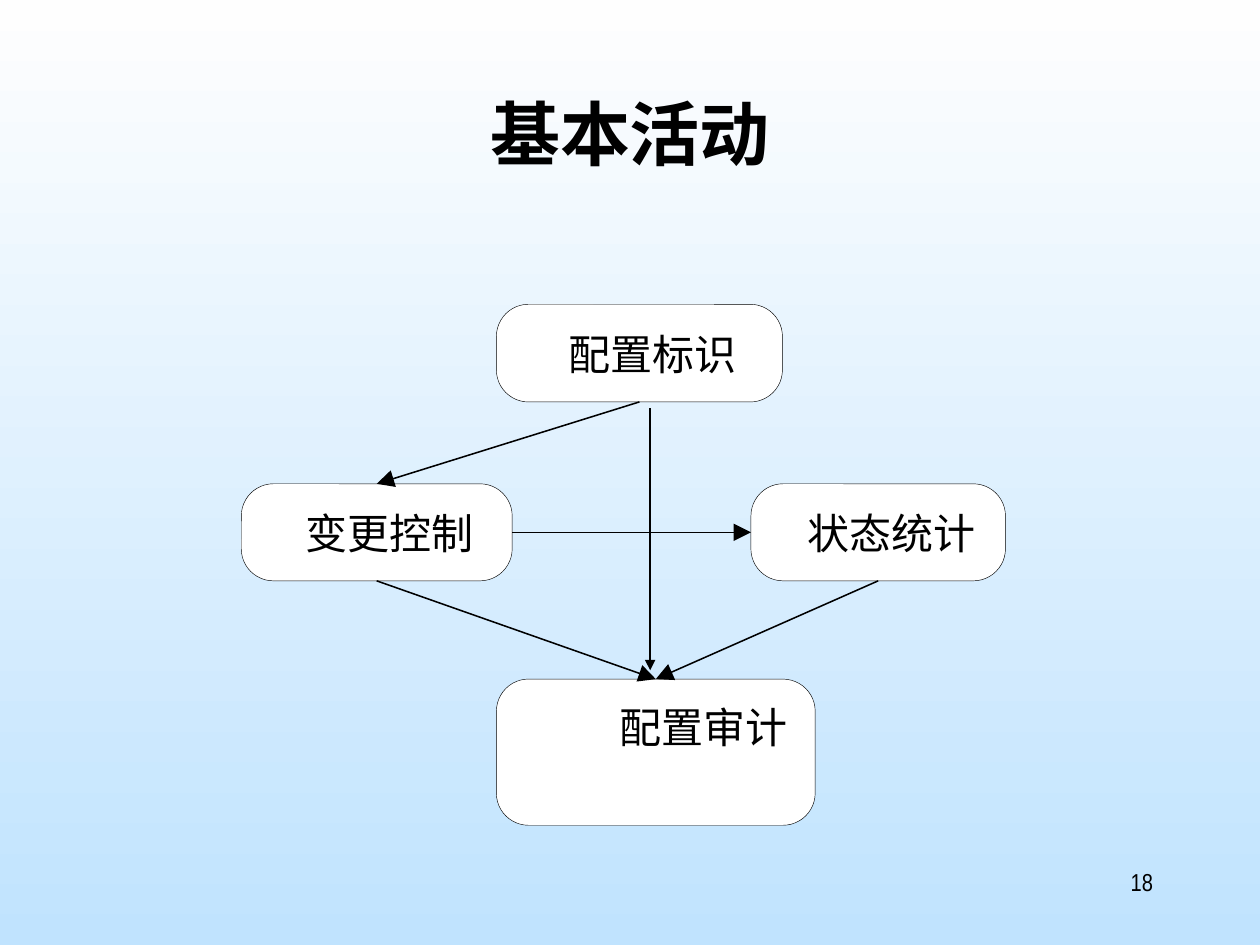
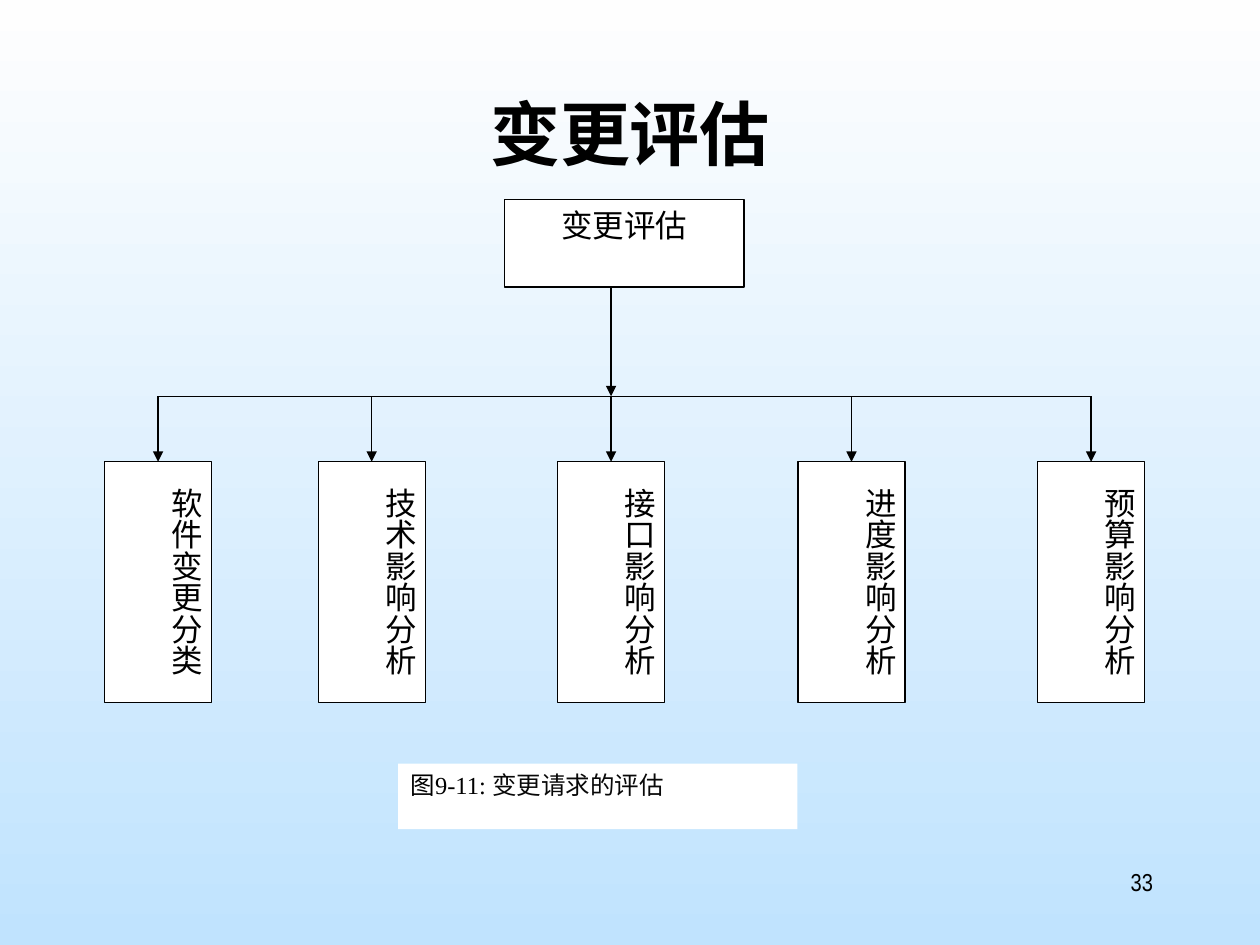
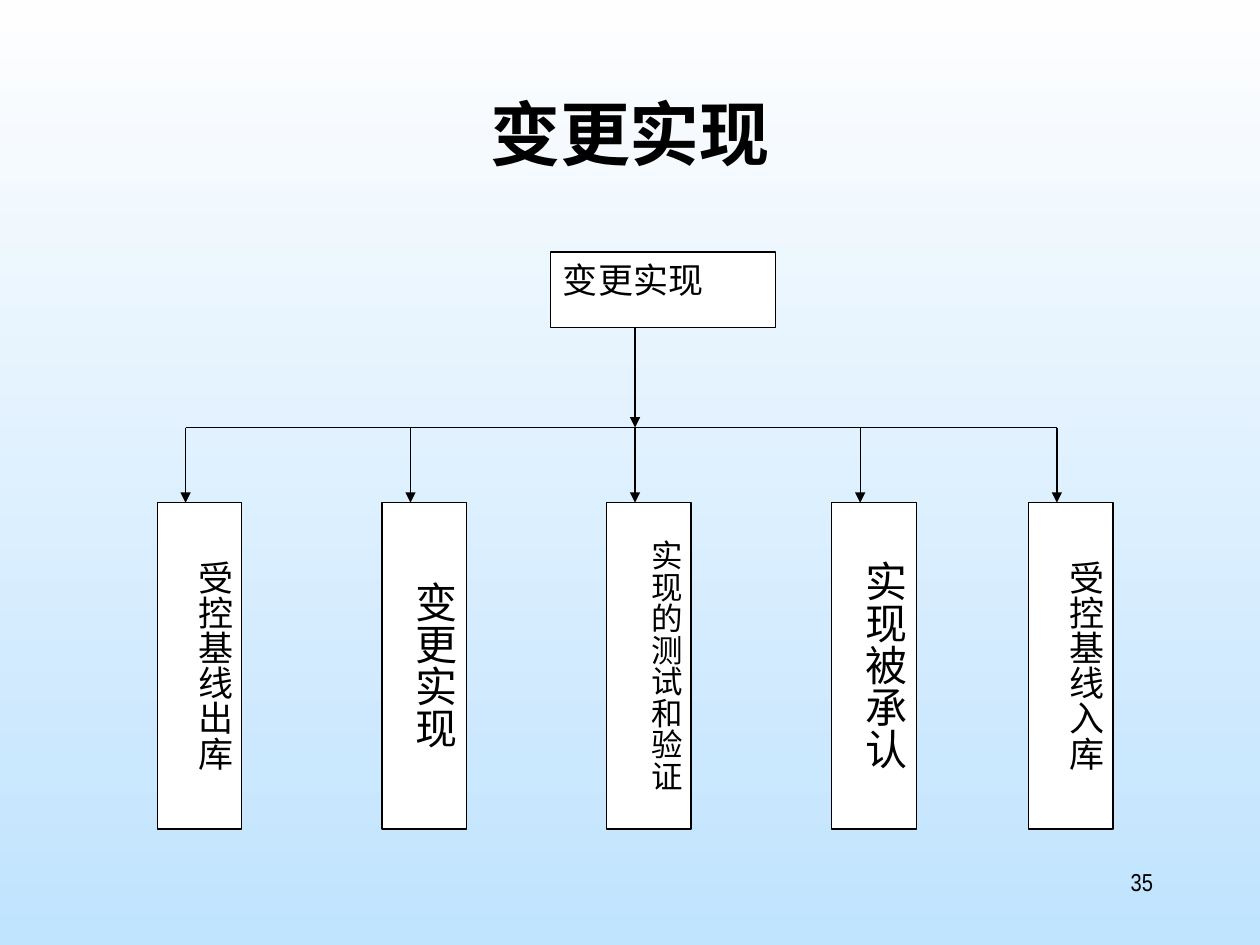
from dataclasses import dataclass

from lxml import etree
from pptx import Presentation
from pptx import util as u
from pptx.dml.color import RGBColor
from pptx.enum import shapes, text
from pptx.oxml.ns import qn


@dataclass(frozen=True)
class Theme:
    ink: RGBColor = RGBColor(0, 0, 0)
    caption_ink: RGBColor = RGBColor(8, 8, 8)
    paper: RGBColor = RGBColor(255, 255, 255)
    sky_top: RGBColor = RGBColor(0xFE, 0xFE, 0xFE)
    sky_bottom: RGBColor = RGBColor(0xC0, 0xE3, 0xFE)
    cjk: str = "Noto Sans CJK SC"
    sans: str = "Arial"
    narrow: str = "Arial Narrow"
    serif: str = "Times New Roman"
    title: int = 40
    large: int = 24
    medium: int = 20
    body: int = 18
    small: int = 14
    hairline: float = 0.25
    rule: float = 0.75
    flow: float = 0.88


T = Theme()
GRID = u.Inches(0.1)  # the slide is 100 columns by 75 rows
COLUMNS, ROWS = 100, 75
LEFT, CENTER = text.PP_ALIGN.LEFT, text.PP_ALIGN.CENTER
RIGHT, JUSTIFY = text.PP_ALIGN.RIGHT, text.PP_ALIGN.JUSTIFY
RECTANGLE = shapes.MSO_SHAPE.RECTANGLE
TOP_SIDE, LEFT_SIDE, BOTTOM_SIDE, RIGHT_SIDE = range(4)


def add_block(slide, at, runs=(), size=T.body, align=LEFT, bold=False,
              preset=None, outline=None, insets=(1, 0.5)):
    """Add a text box, or a white preset shape; runs are (words, font, colour)."""
    place = [round(cells * GRID) for cells in at]
    if preset is None:
        block = slide.shapes.add_textbox(*place)
    else:
        block = slide.shapes.add_shape(preset, *place)
        block.shadow.inherit = False
        block.fill.solid()
        block.fill.fore_color.rgb = T.paper
        if outline:
            block.line.color.rgb = T.ink
            block.line.width = u.Pt(outline)
        else:
            block.line.fill.background()
    frame = block.text_frame
    frame.word_wrap = True
    frame.vertical_anchor = text.MSO_ANCHOR.TOP
    frame.margin_left = frame.margin_right = round(insets[0] * GRID)
    frame.margin_top = frame.margin_bottom = round(insets[1] * GRID)
    paragraph = frame.paragraphs[0]
    paragraph.alignment = align
    for words, font, colour in runs:
        run = paragraph.add_run()
        run.text = words
        run.font.size, run.font.bold, run.font.name = u.Pt(size), bold, font
        run.font.color.rgb = colour
        east_asian = etree.SubElement(run.font._element, qn("a:ea"))
        east_asian.set("typeface", T.cjk)
    return block


def add_rule(slide, start=(0, 0), end=(0, 0), width=T.rule, head=None,
             source=None, target=None):
    """Draw a line; source and target are (block, side) pairs to join."""
    points = [round(cells * GRID) for cells in (*start, *end)]
    rule = slide.shapes.add_connector(shapes.MSO_CONNECTOR.STRAIGHT, *points)
    if source:
        rule.begin_connect(*source)
    if target:
        rule.end_connect(*target)
    rule.line.color.rgb = T.ink
    rule.line.width = u.Pt(width)
    if head:
        etree.SubElement(rule.line._get_or_add_ln(), qn("a:tailEnd"),
                         type="triangle", w=head, len=head)
    etree.SubElement(rule._element.spPr, qn("a:effectLst"))


deck = Presentation()
deck.slide_width, deck.slide_height = COLUMNS * GRID, ROWS * GRID

# Shared background, titles and page numbers
sky = deck.slide_master.background.fill
sky.gradient()
sky.gradient_angle = 270
for stop, colour, position in zip(sky.gradient_stops,
                                  (T.sky_top, T.sky_bottom), (0, 1)):
    stop.color.rgb = colour
    stop.position = position

pages = []
for title, font, number in (("基本活动", T.cjk, "18"),
                            ("变更评估", T.narrow, "33"),
                            ("变更实现", T.narrow, "35")):
    page = deck.slides.add_slide(deck.slide_layouts[6])
    add_block(page, (7.5, 6.7, 85, 12.5), [(title, font, T.ink)],
              T.title, CENTER, bold=True)
    add_block(page, (71.7, 68.3, 20.8, 5), [(number, T.narrow, T.ink)],
              T.small, RIGHT)
    pages.append(page)
activities, *trees = pages

# Basic activities: four rounded steps and the flow between them
CORNER = 2.55
steps = {}
for name, at, label_at in (
    ("配置标识", (39.4, 24.15, 22.7, 7.75), (45.1, 26.1)),
    ("配置审计", (39.4, 53.9, 25.3, 11.6), (49.2, 55.7)),
    ("状态统计", (59.6, 38.4, 20.2, 7.7), (64.1, 40.3)),
    ("变更控制", (19.15, 38.4, 21.5, 7.7), (24.25, 40.3)),
):
    step = add_block(activities, at, preset=shapes.MSO_SHAPE.ROUNDED_RECTANGLE,
                     outline=T.hairline)
    step.adjustments[0] = CORNER / at[3]
    add_block(activities, (*label_at, 13.5, 4), [(name, T.sans, T.ink)],
              T.large, insets=(0, 0))
    steps[name] = step

for before, exit_side, after, entry_side in (
    ("配置标识", BOTTOM_SIDE, "变更控制", TOP_SIDE),
    ("状态统计", BOTTOM_SIDE, "配置审计", TOP_SIDE),
    ("变更控制", BOTTOM_SIDE, "配置审计", TOP_SIDE),
    ("变更控制", RIGHT_SIDE, "状态统计", LEFT_SIDE),
):
    add_rule(activities, width=T.flow, head="lg",
             source=(steps[before], exit_side),
             target=(steps[after], entry_side))
add_rule(activities, (51.6, 32.4), (51.6, 53.2), T.flow, "med")

# Change assessment and change implementation: a root over five leaves
assessment = dict(
    root=("变更评估", (40.05, 15.83, 19, 6.95), T.body, CENTER),
    bus=31.45, leaf_top=36.65, leaf_size=(8.5, 19.1), stub=4.25,
    leaves=[("软件变更分类", 8.3, T.body), ("技术影响分析", 25.25, T.body),
            ("接口影响分析", 44.25, T.body), ("进度影响分析", 63.33, T.body),
            ("预算影响分析", 82.35, T.body)])
implementation = dict(
    root=("变更实现", (43.7, 20, 17.85, 6), T.medium, JUSTIFY),
    bus=33.93, leaf_top=39.9, leaf_size=(6.7, 25.9), stub=2.25,
    leaves=[("受控基线出库", 12.48, T.medium), ("变更实现", 30.33, T.large),
            ("实现的测试和验证", 48.15, T.body), ("实现被承认", 66.02, T.large),
            ("受控基线入库", 81.63, T.medium)])

for page, tree in zip(trees, (assessment, implementation)):
    name, root_at, size, align = tree["root"]
    bus, leaf_top = tree["bus"], tree["leaf_top"]
    leaf_width, leaf_height = tree["leaf_size"]
    add_block(page, root_at, [(name, T.serif, T.ink)], size, align,
              preset=RECTANGLE, outline=T.rule)
    stubs = []
    for name, left, size in tree["leaves"]:
        leaf = add_block(page, (left, leaf_top, leaf_width, leaf_height),
                         [(name, T.serif, T.ink)], size, JUSTIFY,
                         preset=RECTANGLE, outline=T.rule, insets=(0.5, 1))
        leaf.text_frame._txBody.bodyPr.set("vert", "eaVert")
        # Centre the column of characters, each as tall as its type size
        spare = round(leaf_height * GRID) - len(name) * u.Pt(size)
        leaf.text_frame.margin_top = spare // 2
        x = left + tree["stub"]
        centred = tree["stub"] == leaf_width / 2
        add_rule(page, (x, bus), (x, leaf_top), head="med",
                 target=(leaf, TOP_SIDE) if centred else None)
        stubs.append(x)
    add_rule(page, (stubs[0], bus), (stubs[-1], bus))
    trunk = stubs[len(stubs) // 2]
    add_rule(page, (trunk, root_at[1] + root_at[3]), (trunk, bus), head="med")

add_block(trees[0], (31.6, 60.6, 31.7, 5.2),
          [("图9-11: ", T.serif, T.ink),
           ("变更请求的评估", T.cjk, T.caption_ink)],
          T.small, JUSTIFY, preset=RECTANGLE)

deck.save("out.pptx")
